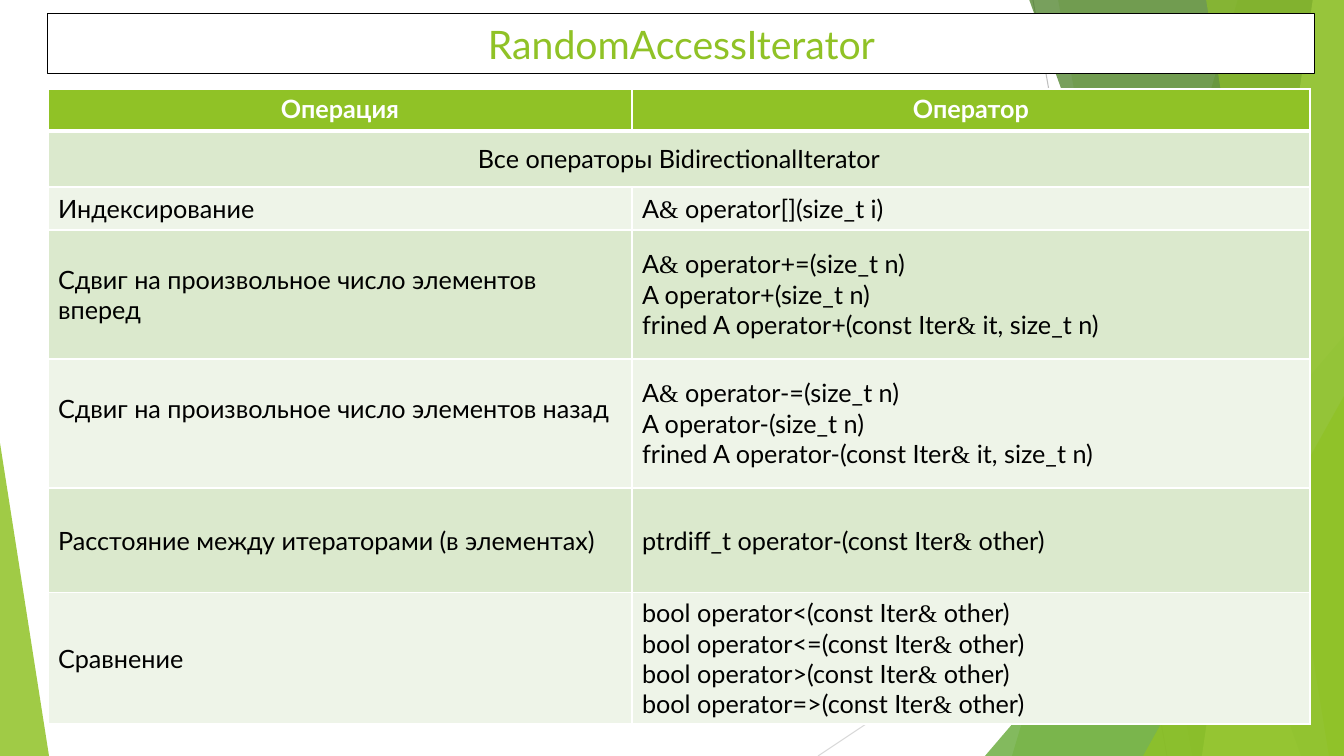
"""Build the RandomAccessIterator slide with its operator table."""
from dataclasses import dataclass
from typing import Any, Union

from lxml.etree import SubElement
from pptx import Presentation
from pptx.dml.color import RGBColor
from pptx.enum.shapes import MSO_CONNECTOR, MSO_SHAPE
from pptx.enum.text import MSO_ANCHOR, PP_ALIGN
from pptx.oxml import parse_xml
from pptx.oxml.ns import nsdecls, qn
from pptx.util import Emu, Pt

EMU_PER_PIXEL = 914400 / 100.8
WIDTH, HEIGHT = 1344, 756
COLORS = {
    "white": "FFFFFF", "black": "000000", "green": "90C226",
    "leaf": "54A021", "forest": "3F7819", "lime": "C0E474",
    "grey": "BFBFBF", "pale grey": "D9D9D9",
    "dark band": "DBE9CD", "light band": "EEF4E8",
}
TEXT_FONT, AMPERSAND_FONT = "Lato", "Times New Roman"


@dataclass(frozen=True)
class Ray:
    start: tuple[int, int]
    end: tuple[int, int]
    color: str


@dataclass(frozen=True)
class Band:
    top_x: int
    bottom_x: int
    color: str
    opacity: int


@dataclass(frozen=True)
class Corner:
    left: int
    top: int
    width: int
    apex: int
    color: str
    opacity: int


@dataclass(frozen=True)
class Row:
    height: int
    operation: str
    operators: tuple[str, ...] = ()
    bottom_margin: int = 5


RAYS = (
    Ray((1033, 0), (1167, HEIGHT), "grey"),
    Ray((WIDTH, 406), (818, HEIGHT), "pale grey"),
)
FACETS: tuple[Union[Band, Corner], ...] = (
    Band(1238, 1012, "green", 30),
    Band(1058, 1192, "green", 20),
    Corner(985, 336, 359, 1, "leaf", 72),
    Band(1029, 1301, "forest", 70),
    Band(1313, 1202, "lime", 70),
    Band(1206, 1329, "green", 65),
    Corner(1143, 396, 201, 1, "green", 80),
    Corner(0, 443, 49, 0, "green", 85),
)
COLUMN_WIDTHS = (584, 678)
ROWS = (
    Row(42, "Операция", ("Оператор",)),
    Row(56, "Все операторы BidirectionalIterator"),
    Row(43, "Индексирование", ("A& operator[](size_t i)",)),
    Row(129, "Сдвиг на произвольное число элементов вперед", (
        "A& operator+=(size_t n)",
        "A operator+(size_t n)",
        "frined A operator+(const Iter& it, size_t n)")),
    Row(129, "Сдвиг на произвольное число элементов назад", (
        "A& operator-=(size_t n)",
        "A operator-(size_t n)",
        "frined A operator-(const Iter& it, size_t n)"), bottom_margin=35),
    Row(105, "Расстояние между итераторами (в элементах)",
        ("ptrdiff_t operator-(const Iter& other)",)),
    Row(131, "Сравнение", tuple(
        f"bool operator{sign}(const Iter& other)" for sign in ("<", "<=", ">", "=>"))),
)


def px(length: float) -> Emu:
    """Convert pixels to EMU."""
    return Emu(round(length * EMU_PER_PIXEL))


def rgb(color: str) -> RGBColor:
    """Look up a named colour."""
    return RGBColor.from_string(COLORS[color])


def draw_ray(page: Any, ray: Ray) -> None:
    """Draw a thin background line."""
    line = page.shapes.add_connector(
        MSO_CONNECTOR.STRAIGHT, *map(px, ray.start + ray.end))
    line.line.color.rgb = rgb(ray.color)
    line.line.width = Pt(0.75)
    SubElement(line._element.spPr, qn("a:effectLst"))


def draw_facet(page: Any, facet: Union[Band, Corner]) -> None:
    """Draw a translucent background band or corner triangle."""
    if isinstance(facet, Band):
        outline = page.shapes.build_freeform(facet.top_x, -1, scale=EMU_PER_PIXEL)
        outline.add_line_segments(
            [(WIDTH, -1), (WIDTH, HEIGHT), (facet.bottom_x, HEIGHT)], close=True)
        shape = outline.convert_to_shape()
    else:
        shape = page.shapes.add_shape(
            MSO_SHAPE.ISOSCELES_TRIANGLE, px(facet.left), px(facet.top),
            px(facet.width), px(HEIGHT - facet.top))
        shape.adjustments[0] = facet.apex
    shape.shadow.inherit = False
    shape.line.fill.background()
    shape.fill.solid()
    shape.fill.fore_color.rgb = rgb(facet.color)
    color = shape._element.spPr.find(qn("a:solidFill"))[0]
    SubElement(color, qn("a:alpha"), val=str(facet.opacity * 1000))


def write_lines(frame: Any, lines: tuple[str, ...], size: int, color: str,
                centered: bool, bold: bool = False) -> None:
    """Write one paragraph per line, with ampersands in their own font."""
    for index, line in enumerate(lines):
        para = frame.add_paragraph() if index else frame.paragraphs[0]
        para.alignment = PP_ALIGN.CENTER if centered else PP_ALIGN.LEFT
        para.font.name, para.font.size, para.font.bold = TEXT_FONT, Pt(size), bold
        para.font.color.rgb = rgb(color)
        for text in filter(None, line.partition("&")):
            span = para.add_run()
            span.text = text
            if text == "&":
                span.font.name = AMPERSAND_FONT


def draw_title(page: Any) -> None:
    """Draw the framed title."""
    box = page.shapes.add_shape(MSO_SHAPE.RECTANGLE, px(48), px(14), px(1267), px(60))
    box.shadow.inherit = False
    box.fill.solid()
    box.fill.fore_color.rgb = rgb("white")
    box.line.color.rgb = rgb("black")
    box.line.width = Pt(0.75)
    box.text_frame.vertical_anchor = MSO_ANCHOR.MIDDLE
    write_lines(box.text_frame, ("RandomAccessIterator",), 28, "green", centered=True)


def set_borders(cell: Any, top: int, bottom: int) -> None:
    """Give a cell white borders, with widths in points."""
    properties = cell._tc.get_or_add_tcPr()
    widths = {"lnL": 1, "lnR": 1, "lnT": top, "lnB": bottom}
    for index, (side, width) in enumerate(widths.items()):
        properties.insert(index, parse_xml(
            f'<a:{side} {nsdecls("a")} w="{Pt(width)}"><a:solidFill>'
            f'<a:srgbClr val="{COLORS["white"]}"/></a:solidFill></a:{side}>'))


def draw_table(page: Any) -> None:
    """Draw the table of operations and operators."""
    table = page.shapes.add_table(
        len(ROWS), len(COLUMN_WIDTHS), px(48), px(89),
        px(sum(COLUMN_WIDTHS)), px(sum(row.height for row in ROWS))).table
    table.first_row = table.horz_banding = False
    for column, width in zip(table.columns, COLUMN_WIDTHS):
        column.width = px(width)
    for number, row in enumerate(ROWS):
        table.rows[number].height = px(row.height)
        header = number == 0
        band = "green" if header else "dark band" if number % 2 else "light band"
        if not row.operators:
            table.cell(number, 0).merge(table.cell(number, 1))
        for column, lines in enumerate(((row.operation,), row.operators)):
            cell = table.cell(number, column)
            cell.fill.solid()
            cell.fill.fore_color.rgb = rgb(band)
            set_borders(cell, top=3 if number == 1 else 1, bottom=3 if header else 1)
            cell.vertical_anchor = MSO_ANCHOR.TOP if header else MSO_ANCHOR.MIDDLE
            if column == 0:
                cell.margin_bottom = px(row.bottom_margin)
            write_lines(cell.text_frame, lines, 18, "white" if header else "black",
                        centered=header or not row.operators, bold=header)


deck = Presentation()
deck.slide_width, deck.slide_height = px(WIDTH), px(HEIGHT)
slide = deck.slides.add_slide(deck.slide_layouts[6])
for background_ray in RAYS:
    draw_ray(slide, background_ray)
for background_facet in FACETS:
    draw_facet(slide, background_facet)
draw_title(slide)
draw_table(slide)
deck.save("out.pptx")
